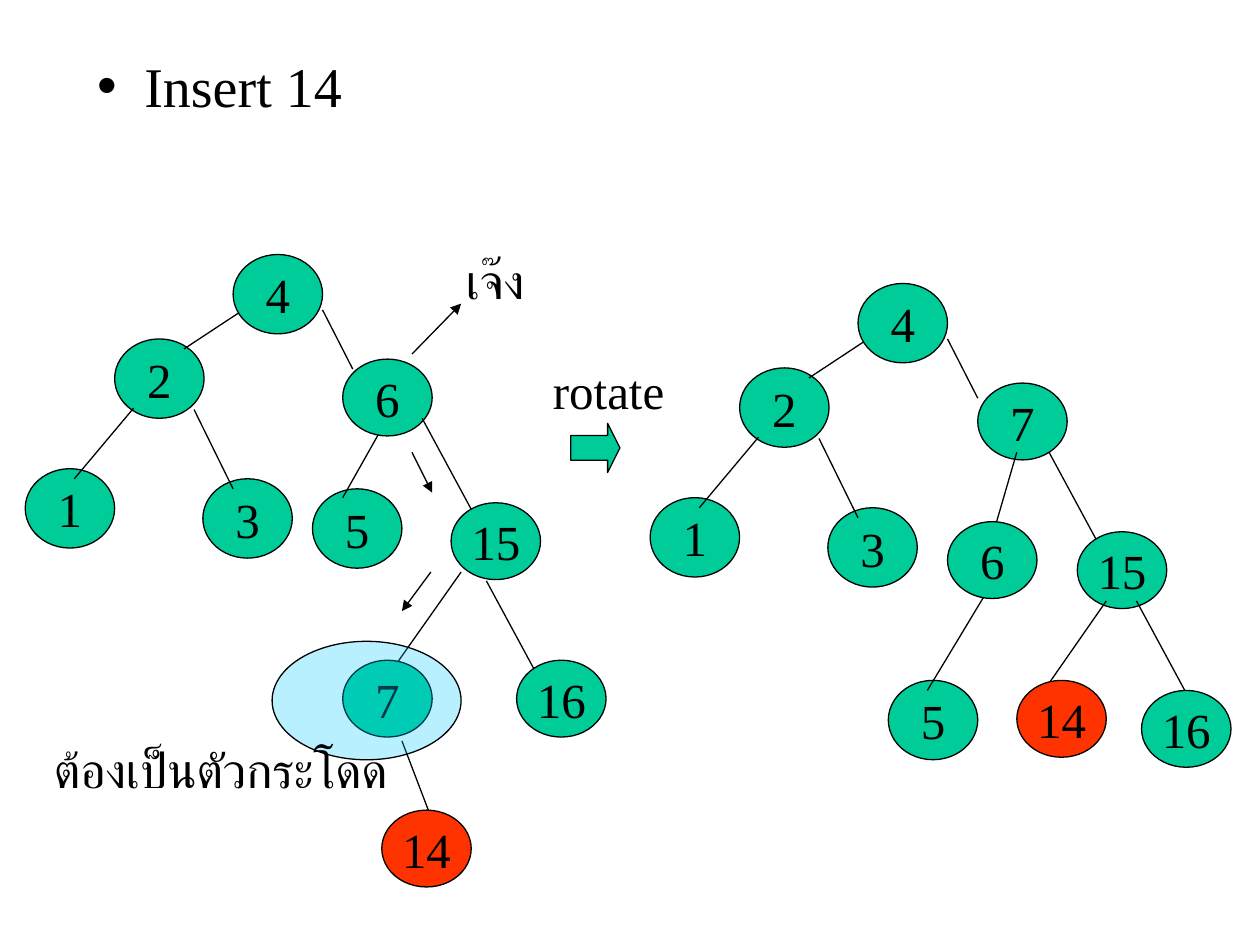
from lxml.etree import SubElement
from pptx import Presentation
from pptx.dml.color import RGBColor
from pptx.enum.shapes import MSO_CONNECTOR, MSO_SHAPE
from pptx.enum.text import MSO_ANCHOR, MSO_AUTO_SIZE, PP_ALIGN
from pptx.oxml.ns import qn
from pptx.util import Pt

PX = 9144  # 100 px to the inch
FONT = "Times New Roman"
BLACK = RGBColor(0x00, 0x00, 0x00)
GREEN = RGBColor(0x00, 0xCC, 0x99)
RED = RGBColor(0xFF, 0x33, 0x00)
SKY = RGBColor(0x00, 0xCC, 0xFF)
NODE_WIDTH = 71
INSERTED = "14"

# Parts in paint order: a node is (key, left, top, height),
# an edge is (x1, y1, x2, y2), all relative to the tree's box.
ROOT_AND_LEFT_BRANCH = [
    ("3", 141, 178, 63), ("2", 71, 67, 63), (173, 44, 126, 75),
    ("1", 0, 170, 63), (86, 122, 39, 178), ("4", 165, 0, 63),
    (236, 44, 260, 91), (134, 123, 165, 186),
]
BRANCH_BEFORE = [
    ("5", 228, 186, 63), (283, 138, 252, 193), ("6", 252, 83, 61),
    (315, 130, 362, 217), ("15", 338, 197, 61), (366, 259, 413, 346),
    ("16", 390, 322, 61), (346, 252, 291, 330), ("7", 252, 322, 61),
    (299, 386, 323, 449), (INSERTED, 283, 441, 61),
]
BRANCH_AFTER = [
    ("5", 189, 315, 63), (267, 245, 220, 323), ("6", 236, 189, 61),
    (315, 131, 362, 218), ("15", 339, 197, 61), (386, 252, 433, 339),
    ("16", 390, 323, 61), (362, 252, 307, 331), ("7", 260, 79, 61),
    (INSERTED, 291, 315, 61), (291, 134, 275, 189),
]
SEARCH_ARROWS = [
    (307, 79, 346, 39), (307, 157, 323, 189), (322, 252, 299, 283),
]


def px(*lengths):
    return [length * PX for length in lengths]


def format_text(frame, size):
    for para in frame.paragraphs:
        for span in para.runs:
            span.font.name = FONT
            span.font.size = Pt(size)
            span.font.color.rgb = BLACK
            # Thai letters take the complex-script typeface
            SubElement(span.font._element, qn("a:cs"), typeface=FONT)


def add_outlined_shape(page, kind, box, fill):
    shape = page.shapes.add_shape(kind, *px(*box))
    shape.shadow.inherit = False
    shape.fill.solid()
    shape.fill.fore_color.rgb = fill
    shape.line.color.rgb = BLACK
    shape.line.width = Pt(0.75)
    return shape


def add_node(page, key, box):
    node = add_outlined_shape(page, MSO_SHAPE.OVAL, box,
                              RED if key == INSERTED else GREEN)
    frame = node.text_frame
    frame.text = key
    frame.word_wrap = False
    frame.vertical_anchor = MSO_ANCHOR.MIDDLE
    frame.paragraphs[0].alignment = PP_ALIGN.CENTER
    format_text(frame, 28)


def add_line(page, ends, arrow=False):
    line = page.shapes.add_connector(MSO_CONNECTOR.STRAIGHT, *px(*ends))
    line.line.color.rgb = BLACK
    line.line.width = Pt(0.75)
    if arrow:
        SubElement(line.line._get_or_add_ln(), qn("a:tailEnd"), type="triangle")
    SubElement(line._element.spPr, qn("a:effectLst"))


def add_label(page, text, box):
    label = page.shapes.add_textbox(*px(*box))
    frame = label.text_frame
    frame.text = text
    frame.word_wrap = False
    frame.auto_size = MSO_AUTO_SIZE.SHAPE_TO_FIT_TEXT
    format_text(frame, 28)


def shift_line(ends, left, top):
    x1, y1, x2, y2 = ends
    return left + x1, top + y1, left + x2, top + y2


def add_tree(page, left, top, branch):
    for part in ROOT_AND_LEFT_BRANCH + branch:
        if isinstance(part[0], str):
            key, x, y, height = part
            add_node(page, key, (left + x, top + y, NODE_WIDTH, height))
        else:
            add_line(page, shift_line(part, left, top))


def add_tree_before(page, left, top):
    add_tree(page, left, top, BRANCH_BEFORE)
    for ends in SEARCH_ARROWS:
        add_line(page, shift_line(ends, left, top), arrow=True)
    add_label(page, "เจ๊ง", (left + 340, top - 8, 66, 57))


def add_highlight(page, left, top):
    """Mark the node that has to jump, with its caption."""
    halo = add_outlined_shape(page, MSO_SHAPE.OVAL, (left, top, 150, 94), SKY)
    color = halo.fill._xPr.find(qn("a:solidFill"))[0]
    SubElement(color, qn("a:alpha"), val="28000")
    add_label(page, "ต้องเป็นตัวกระโดด", (left - 183, top + 73, 285, 57))


def add_rotate_step(page, left, top):
    arrow = add_outlined_shape(page, MSO_SHAPE.RIGHT_ARROW,
                               (left + 24, top + 55, 39, 39), GREEN)
    arrow.adjustments[0] = 0.5
    arrow.adjustments[1] = 0.25
    add_label(page, "rotate", (left, top, 112, 57))


def fill_heading(body, left, top, width, height):
    body.left, body.top, body.width, body.height = px(left, top, width, height)
    body.text_frame.text = "Insert 14"
    body.text_frame.paragraphs[0].space_before = Pt(8)
    format_text(body.text_frame, 32)


def main():
    deck = Presentation()
    deck.slide_width, deck.slide_height = px(1000, 750)
    page = deck.slides.add_slide(deck.slide_layouts[1])
    title = page.shapes.title._element
    title.getparent().remove(title)
    fill_heading(page.placeholders[1], 67, 36, 850, 79)
    add_tree_before(page, 20, 202)
    add_tree(page, 516, 225, BRANCH_AFTER)
    add_highlight(page, 216, 509)
    add_rotate_step(page, 429, 281)
    deck.save("out.pptx")


if __name__ == "__main__":
    main()
